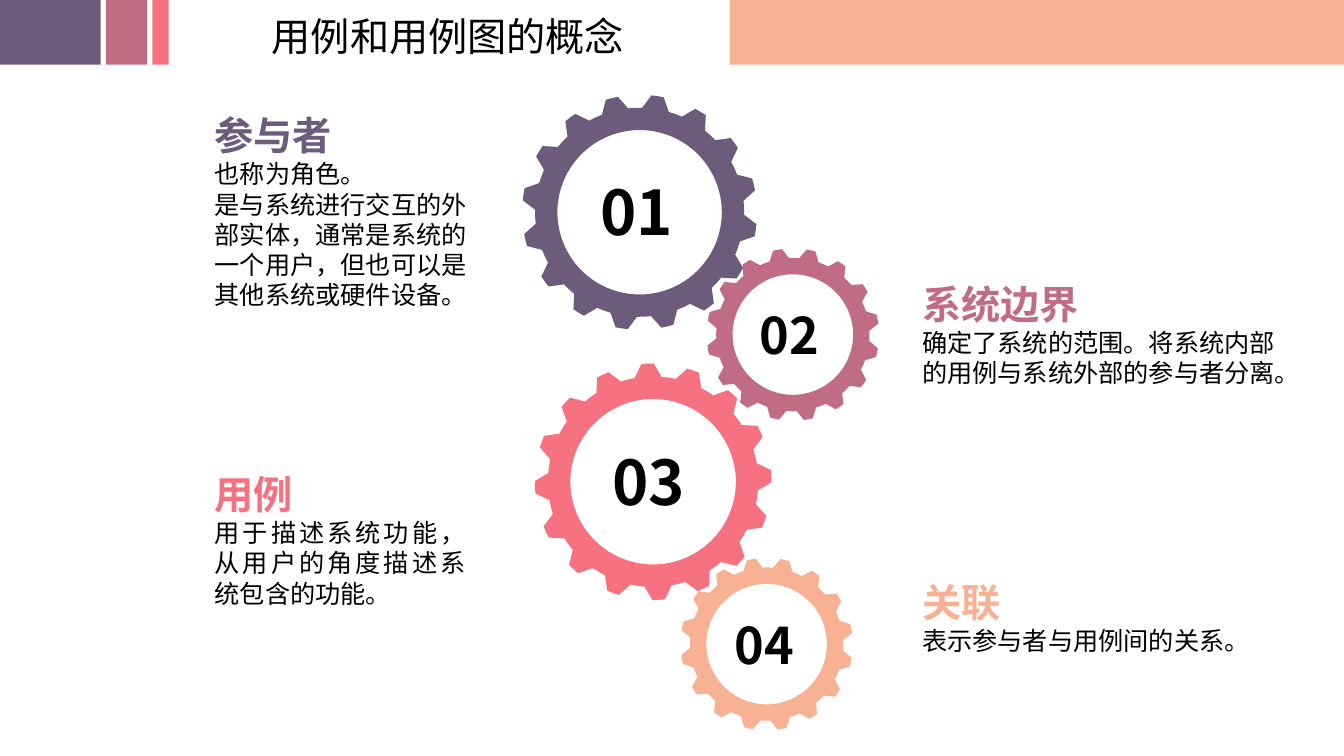
from dataclasses import dataclass
from math import cos, radians, sin

from lxml.etree import SubElement
from pptx import Presentation
from pptx.dml.color import RGBColor
from pptx.enum.lang import MSO_LANGUAGE_ID as Lang
from pptx.enum.shapes import MSO_SHAPE as Preset
from pptx.enum.text import MSO_AUTO_SIZE as Fit, PP_ALIGN as Align
from pptx.oxml.ns import qn
from pptx.util import Cm, Pt

FONT = "Noto Sans CJK SC"
BLACK = "000000"
PLUM, ROSE, CORAL, PEACH = "6C5B7B", "C06C84", "F67280", "F8B193"

TEETH = 16
STEP = 360 / TEETH
BASE, HOLE = 0.89, 0.7  # shares of the outer radius
# Angle from the middle of a tooth, and share of the outer radius
TOOTH = [(-3, 1), (0, 1), (3, 1), (7.4, BASE), (STEP / 2, BASE), (15.1, BASE)]


@dataclass
class Box:
    left: float
    top: float
    width: float
    height: float


@dataclass
class Bar:
    left: float
    width: float
    color: str


@dataclass
class Gear:
    x: float
    y: float
    radius: float
    turn: float
    color: str
    label: str
    size: int
    box: Box


@dataclass
class Note:
    box: Box
    head: str
    color: str
    body: list[str]
    align: Align = Align.LEFT


BAR_HEIGHT = 1.63
BARS = [
    Bar(18.39, 15.48, PEACH),
    Bar(0, 2.54, PLUM),
    Bar(2.67, 1.04, ROSE),
    Bar(3.84, 0.41, CORAL),
]
GEARS = [
    Gear(19.98, 8.43, 2.17, 34.7, ROSE, "02", 36, Box(18.9, 7.54, 2.11, 1.8)),
    Gear(16.46, 12.14, 2.98, 42.3, CORAL, "03", 44, Box(15.19, 11.07, 2.44, 2.13)),
    Gear(16.12, 5.35, 2.96, 31.3, PLUM, "01", 44, Box(14.88, 4.27, 2.44, 2.13)),
    Gear(19.32, 16.23, 2.17, 34.7, PEACH, "04", 36, Box(18.26, 15.34, 2.08, 1.8)),
]
NOTES = [
    Note(Box(5.16, 2.69, 6.91, 5.31), "参与者", PLUM, [
        "也称为角色。",
        "是与系统进行交互的外部实体，通常是系统的一个用户，但也可以是其他系统或硬件设备。",
    ]),
    Note(Box(5.16, 11.73, 6.83, 3.76), "用例", CORAL,
         ["用于描述系统功能，从用户的角度描述系统包含的功能。"], Align.JUSTIFY),
    Note(Box(22.99, 6.93, 9.91, 3), "系统边界", ROSE,
         ["确定了系统的范围。将系统内部的用例与系统外部的参与者分离。"]),
    Note(Box(22.99, 14.45, 9.91, 2.21), "关联", PEACH,
         ["表示参与者与用例间的关系。"]),
]


def paint(shape, color: str) -> None:
    shape.shadow.inherit = False
    shape.fill.solid()
    shape.fill.fore_color.rgb = RGBColor.from_string(color)
    shape.line.fill.background()


def add_run(para, text: str, size: int, color: str, bold: bool = False) -> None:
    run = para.add_run()
    run.text = text
    font = run.font
    font.size, font.bold, font.name = Pt(size), bold, FONT
    font.language_id = Lang.SIMPLIFIED_CHINESE
    font.color.rgb = RGBColor.from_string(color)
    SubElement(run._r.rPr, qn("a:ea"), typeface=FONT)


def add_frame(slide, box: Box, wrap: bool = True):
    frame = slide.shapes.add_textbox(
        Cm(box.left), Cm(box.top), Cm(box.width), Cm(box.height)).text_frame
    frame.word_wrap = wrap
    frame.auto_size = Fit.SHAPE_TO_FIT_TEXT
    return frame


def draw_bar(slide, bar: Bar) -> None:
    shape = slide.shapes.add_shape(
        Preset.RECTANGLE, Cm(bar.left), 0, Cm(bar.width), Cm(BAR_HEIGHT))
    paint(shape, bar.color)


def draw_gear(slide, gear: Gear) -> None:
    def spot(angle: float, share: float) -> tuple[int, int]:
        turn = radians(angle + gear.turn - 90)
        reach = gear.radius * share
        return Cm(gear.x + reach * cos(turn)), Cm(gear.y + reach * sin(turn))

    rim = [spot(tooth * STEP + angle, share)
           for tooth in range(TEETH) for angle, share in TOOTH]
    hole = [spot(-angle, HOLE) for angle in range(0, 360, 4)]
    path = slide.shapes.build_freeform(*rim[0])
    path.add_line_segments(rim[1:])
    path.move_to(*hole[0])
    path.add_line_segments(hole[1:])
    paint(path.convert_to_shape(), gear.color)


def draw_label(slide, gear: Gear) -> None:
    frame = add_frame(slide, gear.box, wrap=False)
    add_run(frame.paragraphs[0], gear.label, gear.size, BLACK, bold=True)


def draw_note(slide, note: Note) -> None:
    frame = add_frame(slide, note.box)
    add_run(frame.paragraphs[0], note.head, 28, note.color, bold=True)
    for text in note.body:
        para = frame.add_paragraph()
        para.alignment = note.align
        add_run(para, text, 18, BLACK)


def main() -> None:
    deck = Presentation()
    deck.slide_width, deck.slide_height = Cm(33.87), Cm(19.05)
    slide = deck.slides.add_slide(deck.slide_layouts[6])

    # Header
    for bar in BARS:
        draw_bar(slide, bar)
    title = add_frame(slide, Box(6.6, 0.18, 9.42, 1.45))
    add_run(title.paragraphs[0], "用例和用例图的概念", 28, BLACK)

    # Gears and their numbers
    for gear in GEARS:
        draw_gear(slide, gear)
    for gear in GEARS:
        draw_label(slide, gear)

    # Concept notes
    for note in NOTES:
        draw_note(slide, note)

    deck.save("out.pptx")


if __name__ == "__main__":
    main()
